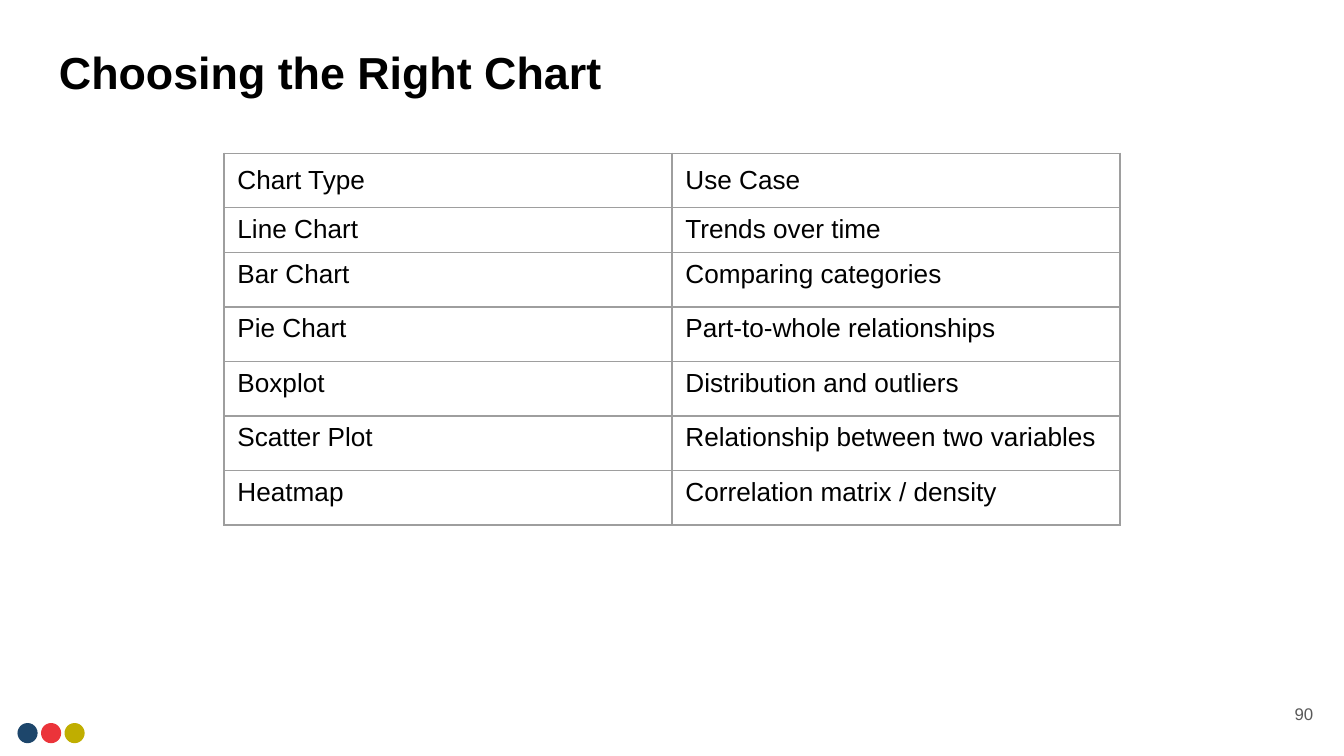
from lxml.etree import SubElement
from pptx import Presentation
from pptx.dml.color import RGBColor
from pptx.enum.shapes import MSO_SHAPE
from pptx.enum.text import MSO_ANCHOR, PP_ALIGN
from pptx.oxml.ns import qn
from pptx.util import Inches, Pt

WHITE = RGBColor(0xFF, 0xFF, 0xFF)
BLACK = RGBColor(0x00, 0x00, 0x00)
GREY = RGBColor(0x59, 0x59, 0x59)
BORDER = RGBColor(0x9E, 0x9E, 0x9E)
NAVY = RGBColor(0x1D, 0x46, 0x6B)
RED = RGBColor(0xEB, 0x34, 0x3A)
OLIVE = RGBColor(0xC0, 0xAE, 0x00)

FONT = "Arial"
PAGE_WIDTH = 10
PAGE_HEIGHT = PAGE_WIDTH * 9 / 16
CHART_USES = [
    ("Chart Type", "Use Case"),
    ("Line Chart", "Trends over time"),
    ("Bar Chart", "Comparing categories"),
    ("Pie Chart", "Part-to-whole relationships"),
    ("Boxplot", "Distribution and outliers"),
    ("Scatter Plot", "Relationship between two variables"),
    ("Heatmap", "Correlation matrix / density"),
]
ROW_HEIGHT, TIGHT_ROW_HEIGHT = Pt(29.2), Pt(18)


def add_span(para, text, size, color, bold=False):
    span = para.add_run()
    span.text = text
    span.font.name = FONT
    span.font.size = Pt(size)
    span.font.bold = bold
    span.font.color.rgb = color


def add_label(page, box, text, size, color, bold=False, align=PP_ALIGN.LEFT):
    """Place one line of text, centred vertically in the box."""
    frame = page.shapes.add_textbox(*map(Inches, box)).text_frame
    frame.word_wrap = True
    frame.vertical_anchor = MSO_ANCHOR.MIDDLE
    frame.margin_left = frame.margin_right = Inches(0.1)
    frame.margin_top = frame.margin_bottom = Inches(0.1)
    para = frame.paragraphs[0]
    para.alignment = align
    add_span(para, text, size, color, bold)


def add_dots(page, box, colors):
    """Spread round dots evenly over the width of the box."""
    left, top, width, size = box
    step = (width - size) / (len(colors) - 1)
    for index, color in enumerate(colors):
        dot = page.shapes.add_shape(
            MSO_SHAPE.OVAL, Inches(left + index * step), Inches(top),
            Inches(size), Inches(size))
        dot.shadow.inherit = False
        dot.fill.solid()
        dot.fill.fore_color.rgb = color
        dot.line.fill.background()


def add_borders(cell):
    properties = cell._tc.get_or_add_tcPr()
    for position, side in enumerate(("a:lnL", "a:lnR", "a:lnT", "a:lnB")):
        line = SubElement(properties, qn(side), w=str(Pt(0.75)))
        fill = SubElement(line, qn("a:solidFill"))
        SubElement(fill, qn("a:srgbClr"), val=str(BORDER))
        # Border lines come before the cell's fill
        properties.insert(position, line)


def add_use_table(page, box, rows):
    """Fill the box with equal columns, header row centred vertically."""
    table = page.shapes.add_table(
        len(rows), len(rows[0]), *map(Inches, box)).table
    table.first_row = table.horz_banding = False
    for column in table.columns:
        column.width = Inches(box[2] / len(rows[0]))
    for row_index, texts in enumerate(rows):
        table.rows[row_index].height = (
            TIGHT_ROW_HEIGHT if row_index == 1 else ROW_HEIGHT)
        for column_index, text in enumerate(texts):
            cell = table.cell(row_index, column_index)
            cell.fill.background()
            cell.vertical_anchor = (
                MSO_ANCHOR.MIDDLE if row_index == 0 else MSO_ANCHOR.TOP)
            add_borders(cell)
            add_span(cell.text_frame.paragraphs[0], text, 14, BLACK)


def main():
    deck = Presentation()
    deck.slide_width = Inches(PAGE_WIDTH)
    deck.slide_height = Inches(PAGE_HEIGHT)
    page = deck.slides.add_slide(deck.slide_layouts[6])
    page.background.fill.solid()
    page.background.fill.fore_color.rgb = WHITE

    # Footer dots
    add_dots(page, (0.13, 5.38, 0.5, 0.15), [NAVY, RED, OLIVE])
    # Title
    add_label(page, (0.34, 0.23, 9.32, 0.61), "Choosing the Right Chart",
              24, BLACK, bold=True)
    # Page number
    add_label(page, (9.27, 5.1, 0.6, 0.43), "90", 9, GREY,
              align=PP_ALIGN.RIGHT)
    # Chart types and their uses, over the middle two thirds of the page
    add_use_table(page, (PAGE_WIDTH / 6, 1.14, PAGE_WIDTH * 2 / 3, 2.77),
                  CHART_USES)

    deck.save("out.pptx")


if __name__ == "__main__":
    main()
